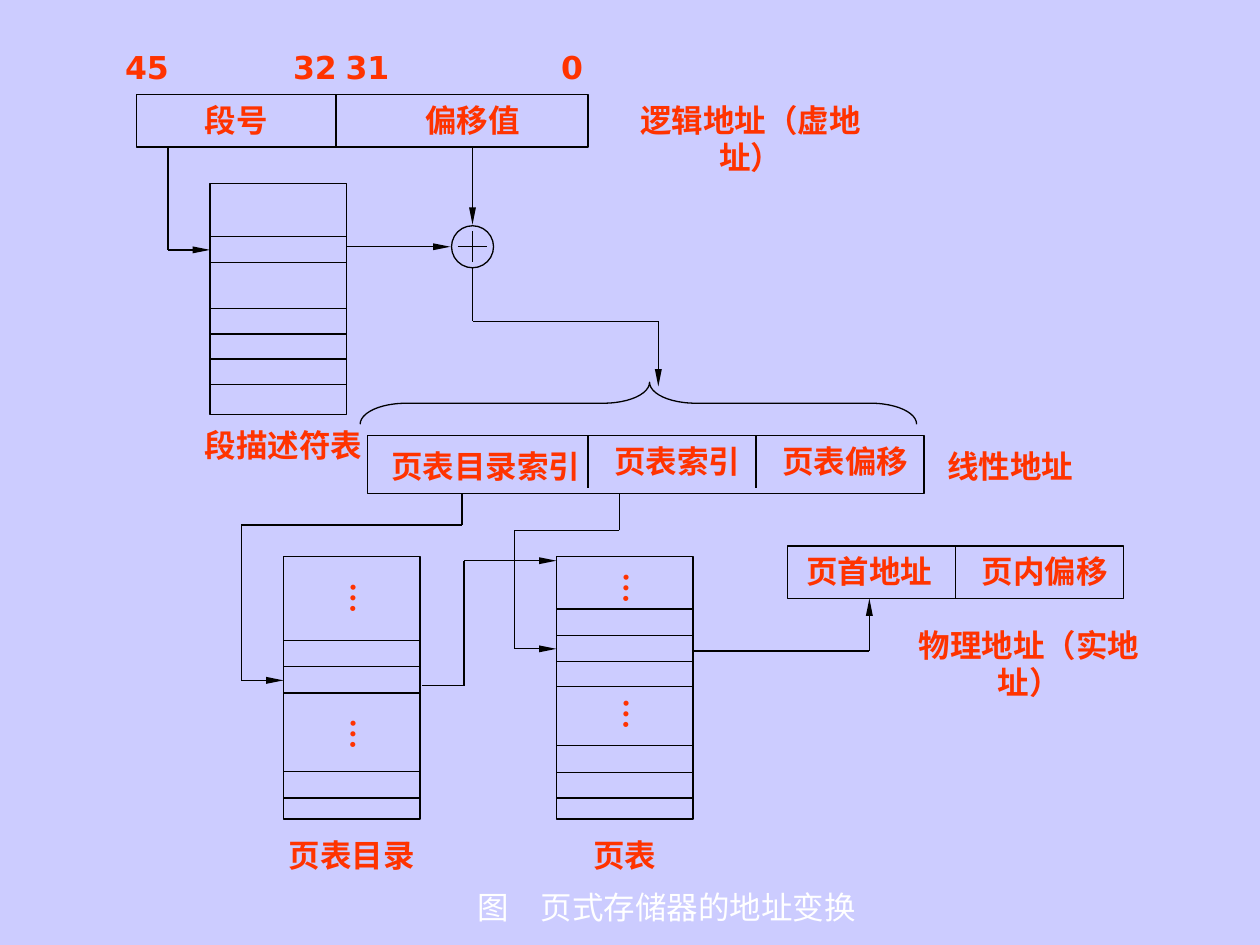
from dataclasses import dataclass
from itertools import pairwise

from lxml.etree import SubElement
from pptx import Presentation
from pptx.dml.color import RGBColor as RGB
from pptx.enum.shapes import MSO_CONNECTOR as Conn, MSO_SHAPE as Shape
from pptx.enum.text import MSO_ANCHOR as Anchor, MSO_AUTO_SIZE as Auto, PP_ALIGN as Align
from pptx.oxml.ns import qn
from pptx.util import Inches, Pt


@dataclass(frozen=True)
class Theme:
    """Colours, fonts and sizes of the slide."""
    back: RGB = RGB(0xCC, 0xCC, 0xFF)
    ink: RGB = RGB(0, 0, 0)
    label: RGB = RGB(0xFF, 0x33, 0)
    caption: RGB = RGB(0xFF, 0xFF, 0xFF)
    font: str = "DejaVu Sans"
    plain: str = "Arial"
    serif: str = "Times New Roman"
    size: float = 18
    line: float = 0.75
    before: float = 4.5


T = Theme()
COLS, ROWS = 120, 90


def unit(n):
    """Turn grid units, twelve to the inch, into a length."""
    return Inches(n / 12)


def inside(box, part):
    """Move a part given relative to a box onto the slide grid."""
    return (box[0] + part[0], box[1] + part[1], *part[2:])


def write(sp, text, font=T.font, color=T.label, bold=True, align=Align.CENTER, before=T.before):
    """Fill a text shape and format its only run."""
    tf = sp.text_frame
    tf.text = text
    tf.word_wrap, tf.auto_size, tf.vertical_anchor = True, Auto.NONE, Anchor.TOP
    p = tf.paragraphs[0]
    p.alignment, p.space_before = align, Pt(before)
    r = p.runs[0]
    r.font.size, r.font.bold = Pt(T.size), bold
    r.font.color.rgb = color
    r.font.name = font
    SubElement(r.font._element, qn("a:ea"), typeface=font)


def label(s, box, text, **style):
    """Add a label in a grid box."""
    sp = s.shapes.add_textbox(*map(unit, box))
    write(sp, text, **style)
    return sp


def outline(s, kind, box):
    """Add an unfilled preset shape in a grid box."""
    sp = s.shapes.add_shape(kind, *map(unit, box))
    sp.shadow.inherit = False
    sp.fill.background()
    sp.line.color.rgb, sp.line.width = T.ink, Pt(T.line)
    return sp


def route(s, points, arrow=True):
    """Join grid points with straight lines, with an arrowhead at the end."""
    for a, b in pairwise(points):
        c = s.shapes.add_connector(Conn.STRAIGHT, *map(unit, (*a, *b)))
        c.line.color.rgb, c.line.width = T.ink, Pt(T.line)
        SubElement(c._element.spPr, qn("a:effectLst"))
    if arrow:
        SubElement(c.line._get_or_add_ln(), qn("a:tailEnd"), type="triangle", w="sm", len="lg")


def register(s, box, dividers, depth, labels):
    """Draw an address register split by dividers, with its labels."""
    x, y = box[:2]
    outline(s, Shape.RECTANGLE, box)
    for d in dividers:
        route(s, [(x + d, y), (x + d, y + depth)], arrow=False)
    for text, part in labels:
        label(s, inside(box, part), text)


def table_block(s, box, rules, name, name_box, dots=()):
    """Draw a memory table with its row rules, ellipses and name."""
    x, y, w, _ = box
    outline(s, Shape.RECTANGLE, box)
    for d in rules:
        route(s, [(x, y + d), (x + w, y + d)], arrow=False)
    for d in dots:
        label(s, inside(box, (3.5, d, 8, 5)), "…", font=T.serif).rotation = 90.8
    label(s, inside(box, name_box), name)


def adder(s, box):
    """Draw the circled plus that adds base and offset."""
    x, y, w, h = box
    outline(s, Shape.OVAL, box)
    route(s, [(x + w * 0.15, y + h / 2), (x + w * 0.85, y + h / 2)], arrow=False)
    route(s, [(x + w / 2, y + h * 0.13), (x + w / 2, y + h * 0.87)], arrow=False)


def brace(s, box):
    """Draw a brace that points up and spans the box."""
    x, y, w, h = box
    sp = outline(s, Shape.LEFT_BRACE, (x + (w - h) / 2, y + (h - w) / 2, h, w))
    sp.rotation = 90
    sp.adjustments[0], sp.adjustments[1] = 1.09, 0.48


def caption(s, box):
    """Place the figure caption in the title placeholder."""
    sp = s.shapes.title
    sp.left, sp.top, sp.width, sp.height = map(unit, box)
    write(sp, "图　页式存储器的地址变换", color=T.caption, bold=False)


def build():
    """Build and save the address translation slide."""
    prs = Presentation()
    prs.slide_width, prs.slide_height = unit(COLS), unit(ROWS)
    s = prs.slides.add_slide(prs.slide_layouts[5])
    s.background.fill.solid()
    s.background.fill.fore_color.rgb = T.back

    register(s, (13, 9, 43, 5), [19], 5, [
        ("45", (-3, -5, 8, 5)), ("32", (13, -5, 8, 5)),
        ("31", (18, -5, 8, 5)), ("0", (38, -5, 7, 5)),
        ("段号", (2, 0, 15, 4)), ("偏移值", (19, 0, 26, 5)),
        ("逻辑地址（虚地址）", (44, 0, 29, 5))])
    register(s, (35, 41.5, 53, 5.5), [21, 37], 5, [
        ("页表目录索引", (1, 0.5, 20.5, 5.5)), ("页表索引", (22, 0, 15, 5)),
        ("页表偏移", (38, 0, 15, 5)), ("线性地址", (53, 0.5, 16.4, 5.5))])
    physical = (75, 52, 32, 5)
    register(s, physical, [16], 5, [
        ("页内偏移", (17, 0, 15, 5)), ("物理地址（实地址）", (9, 7, 28, 5))])
    first = label(s, inside(physical, (0.6, 0, 14.4, 4.8)), "页首地址",
                  font=T.plain, align=Align.LEFT, before=0)
    first.text_frame.word_wrap = False

    table_block(s, (20, 17.5, 13, 22), [5, 7.5, 11.9, 14.3, 16.7, 19.1],
                "段描述符表", (-2, 22.5, 18, 5))
    table_block(s, (27, 53, 13, 25), [8, 10.5, 13, 20.5, 23],
                "页表目录", (-1, 26, 15, 5), dots=[1.5, 14.5])
    table_block(s, (53, 53, 13, 25), [5, 7.5, 10, 12.4, 18, 20.6, 23],
                "页表", (2, 26, 9, 4), dots=[0.5, 12.5])
    adder(s, (43, 21.5, 4, 4))
    brace(s, (34.3, 36.4, 53, 4))

    for points in (
        [(16, 14), (16, 23.8), (20, 23.8)],
        [(45, 14), (45, 21.4)],
        [(33, 23.5), (42.9, 23.5)],
        [(45, 25.5), (45, 30.6), (62.7, 30.6), (62.7, 36.8)],
        [(44, 47), (44, 50), (23, 50), (23, 64.8), (27, 64.8)],
        [(59, 47), (59, 50.5), (49, 50.5), (49, 61.8), (53, 61.8)],
        [(40.2, 65.3), (44.2, 65.3), (44.2, 53.4), (53, 53.4)],
        [(66, 62), (82.8, 62), (82.8, 57)],
    ):
        route(s, points)
    caption(s, (30, 84, 67, 6))
    prs.save("out.pptx")


if __name__ == "__main__":
    build()
